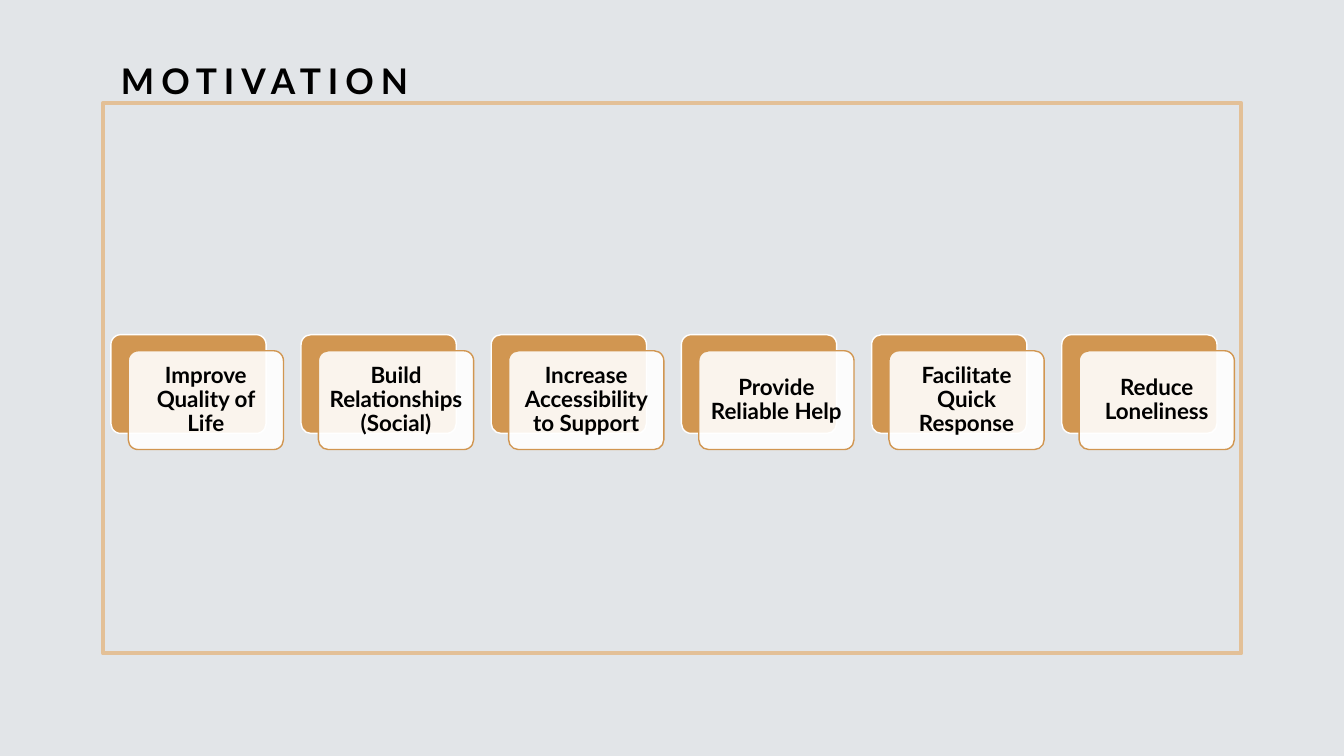
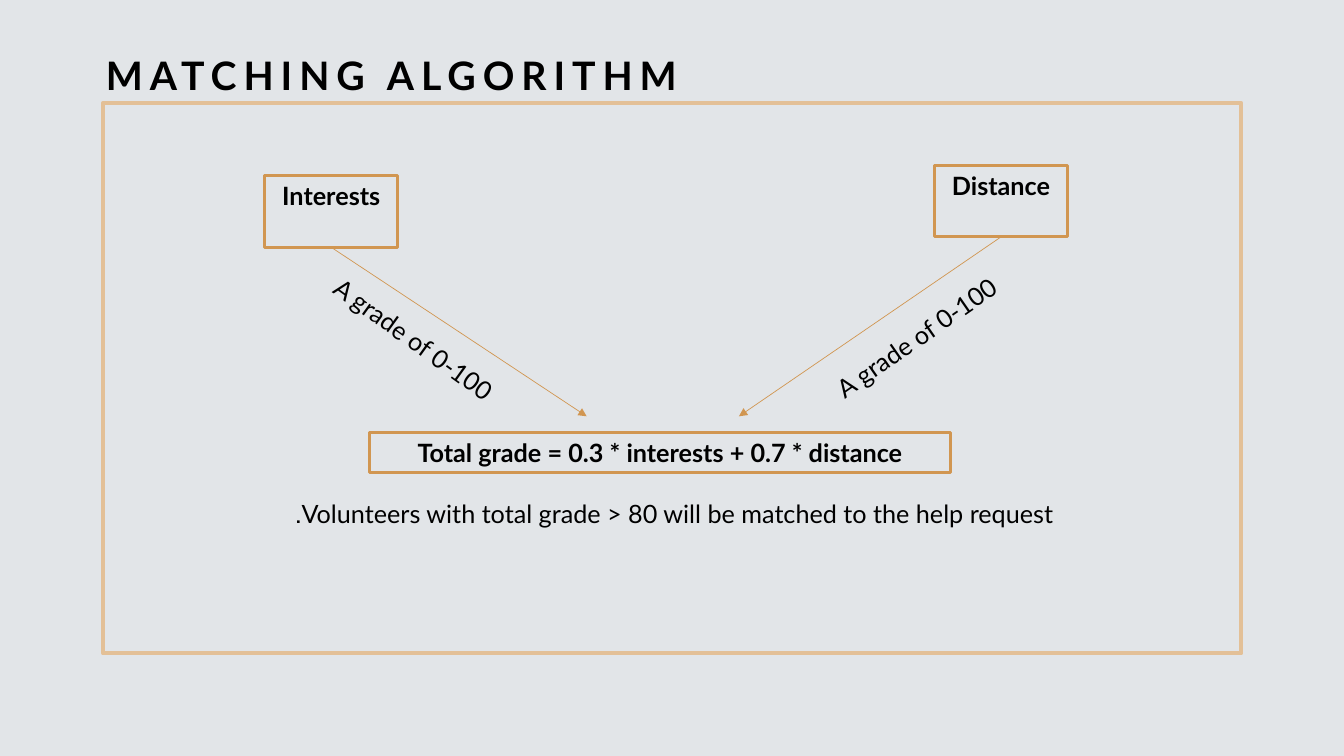
from pptx import Presentation, util as u
from pptx.dml.color import RGBColor
from pptx.enum import shapes, text
from pptx.oxml.ns import qn
from lxml import etree

PALE = RGBColor(0xE2, 0xE5, 0xE8)
SAND = RGBColor(0xE3, 0xC0, 0x97)
OCHRE = RGBColor(0xD1, 0x96, 0x51)
WHITE = RGBColor(0xFF, 0xFF, 0xFF)
BLACK = RGBColor(0, 0, 0)
FONT = "Lato"
LEFT, CENTER = text.PP_ALIGN.LEFT, text.PP_ALIGN.CENTER
TOP, MIDDLE, BOTTOM = (text.MSO_ANCHOR.TOP, text.MSO_ANCHOR.MIDDLE,
                       text.MSO_ANCHOR.BOTTOM)
RECT = shapes.MSO_SHAPE.RECTANGLE
ROUNDED = shapes.MSO_SHAPE.ROUNDED_RECTANGLE


def write(sp, content, size=18, bold=False, align=LEFT, anchor=TOP,
          spacing=1.0, before=0, tracking=0, rtl=False, inset=None):
    tf = sp.text_frame
    tf.word_wrap = True
    tf.auto_size = text.MSO_AUTO_SIZE.NONE
    tf.vertical_anchor = anchor
    if inset is not None:
        tf.margin_left = tf.margin_right = u.Inches(inset)
        tf.margin_top = tf.margin_bottom = u.Inches(inset)
    p = tf.paragraphs[0]
    p.alignment = align
    p.line_spacing = spacing
    p.space_before = u.Pt(before)
    if rtl:
        p._p.get_or_add_pPr().set("rtl", "1")
    r = p.add_run()
    r.text = content
    r.font.name = FONT
    r.font.size = u.Pt(size)
    r.font.bold = bold
    r.font.color.rgb = BLACK
    if tracking:
        r._r.get_or_add_rPr().set("spc", str(tracking * 100))


class Deck:
    def __init__(self):
        self.prs = Presentation()
        self.prs.slide_width = u.Inches(13.33)
        self.prs.slide_height = u.Inches(7.5)
        bg = self.prs.slide_master.background.fill
        bg.solid()
        bg.fore_color.rgb = PALE
        self.s = None

    def place(self, *shares):
        sides = (self.prs.slide_width, self.prs.slide_height) * 2
        return [round(side * share / 100) for side, share in zip(sides, shares)]

    def slide(self, title, area, size):
        self.s = self.prs.slides.add_slide(self.prs.slide_layouts[5])
        self.shape(RECT, (7.66, 13.64, 84.7, 72.8), line=SAND, width=3)
        sp = self.s.shapes.title
        sp.left, sp.top, sp.width, sp.height = self.place(*area)
        write(sp, title, size=size, bold=True, anchor=BOTTOM, spacing=1.2,
              tracking=5)

    def shape(self, kind, area, line, width, fill=None, alpha=None):
        sp = self.s.shapes.add_shape(kind, *self.place(*area))
        sp.shadow.inherit = False
        sp.line.color.rgb = line
        sp.line.width = u.Pt(width)
        if fill is None:
            sp.fill.background()
        else:
            sp.fill.solid()
            sp.fill.fore_color.rgb = fill
        if alpha is not None:
            color = sp._element.spPr.find(qn("a:solidFill"))[0]
            etree.SubElement(color, qn("a:alpha")).set("val", str(alpha * 1000))
        if kind == ROUNDED:
            sp.adjustments[0] = 0.1
        return sp

    def card(self, content, x, y, w, h):
        self.shape(ROUNDED, (x, y, w, h), WHITE, 1, fill=OCHRE)
        front = self.shape(ROUNDED, (x + 1.29, y + 2.13, w, h), OCHRE, 1,
                           fill=WHITE, alpha=90)
        write(front, content, size=16, bold=True, align=CENTER, anchor=MIDDLE,
              spacing=0.9, rtl=True, inset=0.05)

    def box(self, content, area):
        sp = self.shape(RECT, area, OCHRE, 2.25)
        write(sp, content, bold=True, align=CENTER, rtl=True)
        return sp

    def label(self, content, area, rotation=0, **style):
        sp = self.s.shapes.add_textbox(*self.place(*area))
        sp.rotation = rotation
        write(sp, content, **style)

    def arrow(self, source, end):
        x, y = self.place(*end)
        c = self.s.shapes.add_connector(shapes.MSO_CONNECTOR.STRAIGHT, 0, 0, x, y)
        c.begin_connect(source, 2)
        c.line.color.rgb = OCHRE
        c.line.width = u.Pt(0.5)
        ln = c.line._get_or_add_ln()
        etree.SubElement(ln, qn("a:tailEnd")).set("type", "triangle")
        etree.SubElement(c._element.spPr, qn("a:effectLst"))


def motivation(deck):
    deck.slide("MOTIVATION", (8.25, 6.4, 73.65, 7.73), 25.2)
    goals = ("Improve Quality of Life", "Build Relationships (Social)",
             "Increase Accessibility to Support", "Provide Reliable Help",
             "Facilitate Quick Response", "Reduce Loneliness")
    for i, goal in enumerate(goals):
        deck.card(goal, 8.25 + 14.15 * i, 44.27, 11.55, 13.07)


def matching(deck):
    deck.slide("MATCHING ALGORITHM", (7.13, 6.93, 73.65, 6.8), 28)
    factors = (
        ("Interests", (19.7, 23.25), (43.65, 55.07), (22.43, 42.27), 35.8),
        ("Distance", (69.53, 21.87), (54.98, 55.07), (60.68, 39.87), 325.2),
    )
    for name, corner, tip, grade, rotation in factors:
        deck.arrow(deck.box(name, (*corner, 9.9, 9.47)), tip)
        deck.label("A grade of 0-100", (*grade, 17.55, 9.47), rotation,
                   spacing=1.2, before=10)
    deck.box("Total grade = 0.3 * interests + 0.7 * distance",
             (27.5, 57.2, 43.2, 5.33))
    deck.label("Volunteers with total grade > 80 will be matched to the help request.",
               (21.23, 65.2, 60.83, 5.33), rtl=True)


def main():
    deck = Deck()
    motivation(deck)
    matching(deck)
    deck.prs.save("out.pptx")


if __name__ == "__main__":
    main()
